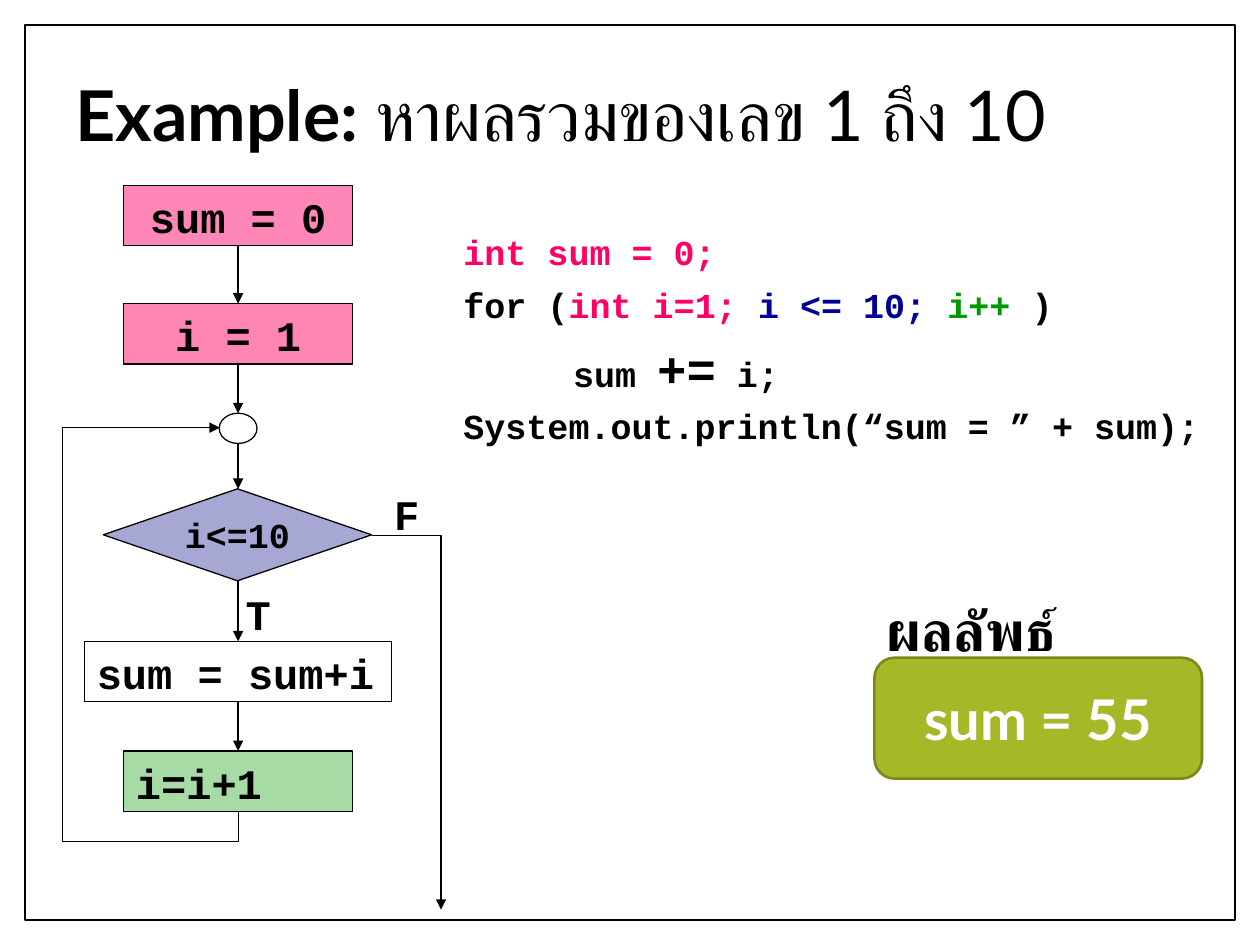
from pptx import Presentation
from pptx.dml.color import RGBColor
from pptx.enum.shapes import MSO_CONNECTOR as LINE, MSO_SHAPE as SHAPE
from pptx.enum.text import MSO_ANCHOR as ANCHOR, PP_ALIGN as ALIGN
from pptx.oxml.ns import qn
from pptx.util import Inches, Pt
from lxml.etree import SubElement

COLS, ROWS = 100, 75
CELL = Inches(10) // COLS
MID = 18.9
MONO, SANS = "Courier New", "Lato"
BLACK, WHITE, PINK, BLUE, GREEN = "000000", "FFFFFF", "FF0066", "000099", "009900"


def grid(*cells):
    """Turn grid cells into slide lengths."""
    return [round(cell * CELL) for cell in cells]


def color(code):
    """Make a colour from a hex string."""
    return RGBColor.from_string(code)


def style(run, size, font=MONO, code=BLACK, bold=True):
    """Set the look of one run."""
    run.font.size, run.font.name, run.font.bold = Pt(size), font, bold
    run.font.color.rgb = color(code)


def write(shape, parts, align=ALIGN.LEFT, anchor=ANCHOR.TOP, inset=None):
    """Put one line of (text, style) parts into a shape."""
    frame = shape.text_frame
    frame.word_wrap, frame.vertical_anchor = True, anchor
    if inset is not None:
        frame.margin_left = frame.margin_right = Inches(inset)
        frame.margin_top = frame.margin_bottom = Inches(inset)
    fill_line(frame.paragraphs[0], parts)
    frame.paragraphs[0].alignment = align


def fill_line(para, parts):
    """Add styled runs to a paragraph."""
    for text, look in parts:
        run = para.add_run()
        run.text = text
        style(run, **look)


def label(slide, place, parts, anchor=ANCHOR.TOP):
    """Add a text box."""
    box = slide.shapes.add_textbox(*grid(*place))
    write(box, parts, anchor=anchor)
    return box


def block(slide, kind, place, fill, alpha=100, edge=BLACK, width=0.75):
    """Add a filled preset shape."""
    shape = slide.shapes.add_shape(kind, *grid(*place))
    shape.shadow.inherit = False
    shape.fill.solid()
    shape.fill.fore_color.rgb = color(fill)
    if alpha < 100:
        tint = shape.fill._xPr.find(qn("a:solidFill"))[0]
        SubElement(tint, qn("a:alpha"), val=str(alpha * 1000))
    shape.line.color.rgb, shape.line.width = color(edge), Pt(width)
    return shape


def step(slide, top, width, text, fill, alpha=100, align=ALIGN.LEFT):
    """Add a process box on the flow axis."""
    place = (MID - width / 2, top, width, 4.8)
    box = block(slide, SHAPE.FLOWCHART_PROCESS, place, fill, alpha)
    write(box, [(text, dict(size=24))], align)


def arrow(slide, start, end, bend=None, turn=0, guides=()):
    """Add an arrow, straight or bent by a preset and its guides."""
    kind = LINE.ELBOW if bend else LINE.STRAIGHT
    link = slide.shapes.add_connector(kind, *grid(*start, *end))
    link.line.color.rgb, link.line.width = color(BLACK), Pt(0.75)
    props = link._element.spPr
    SubElement(props.find(qn("a:ln")), qn("a:tailEnd"), type="triangle")
    SubElement(props, qn("a:effectLst"))
    if bend:
        geom = props.find(qn("a:prstGeom"))
        geom.set("prst", bend)
        for num, share in enumerate(guides, 1):
            SubElement(geom.find(qn("a:avLst")), qn("a:gd"),
                       name=f"adj{num}", fmla=f"val {round(share * 100000)}")
        props.find(qn("a:xfrm")).set("rot", str(turn * 60000))


def code(slide):
    """Add the program listing."""
    def part(text, tone=BLACK, size=20):
        return text, dict(size=size, code=tone)

    lines = [
        ([part("int sum = 0;", PINK)], 1, False),
        ([part("for ("), part("int i=1; ", PINK), part("i <= 10; ", BLUE),
          part("i++", GREEN), part(" )")], 1.1, False),
        ([part("sum "), part("+=", size=28), part(" i;")], 1.1, True),
        ([part("System.out.println(“sum = ” + sum);")], 1, False),
    ]
    frame = slide.shapes.add_textbox(*grid(35.8, 17.8, 61.4, 21.5)).text_frame
    frame.word_wrap = True
    for num, (parts, space, deep) in enumerate(lines):
        para = frame.add_paragraph() if num else frame.paragraphs[0]
        para.space_before, para.line_spacing = Pt(4), space
        if deep:
            para._p.get_or_add_pPr().set("marL", str(Inches(0.87)))
        fill_line(para, parts)


def flow(slide):
    """Add the flowchart."""
    label(slide, (18.5, 46.2, 4.2, 5.2), [("T", dict(size=24))])
    label(slide, (30.3, 38.3, 4.4, 4.8), [("F", dict(size=24))])
    step(slide, 14.7, 18.2, "sum = 0", PINK, 47, ALIGN.CENTER)
    step(slide, 24.1, 18.2, "i = 1", PINK, 48, ALIGN.CENTER)
    step(slide, 50.9, 24.4, "sum = sum+i", WHITE)
    step(slide, 59.6, 18.2, "i=i+1", GREEN, 35)
    block(slide, SHAPE.FLOWCHART_CONNECTOR, (17.4, 32.8, 3, 2.4), WHITE)
    test = block(slide, SHAPE.FLOWCHART_DECISION, (8.2, 38.8, 21.3, 7.3),
                 "333399", 43)
    write(test, [("i<=10", dict(size=20))], ALIGN.CENTER, ANCHOR.MIDDLE, 0.02)
    for top, end in [(19.5, 24.1), (28.9, 32.8), (35.2, 38.8),
                     (46.1, 50.9), (55.7, 59.6)]:
        arrow(slide, (MID, top), (MID, end))
    arrow(slide, (29.5, 42.5), (35, 72.2), "bentConnector2")
    arrow(slide, (3, 49.9), (33.4, 48.4), "bentConnector4", 270,
          (-0.08, 9.34))


def main():
    """Build the slide."""
    deck = Presentation()
    deck.slide_width, deck.slide_height = grid(COLS, ROWS)
    slide = deck.slides.add_slide(deck.slide_layouts[6])
    block(slide, SHAPE.RECTANGLE, (2, 2, 96, 71), WHITE, width=1)
    label(slide, (5, 3.6, 90, 10.8), [
        ("Example: ", dict(size=40, font=SANS)),
        ("หาผลรวมของเลข 1 ถึง 10", dict(size=40, font=SANS, bold=False)),
    ], ANCHOR.MIDDLE)
    flow(slide)
    code(slide)
    total = block(slide, SHAPE.ROUNDED_RECTANGLE, (69.4, 52.2, 26, 9.6),
                  "A6B727", edge="7B871D", width=1.5)
    write(total, [("sum = 55", dict(size=32, font=SANS, code=WHITE))],
          ALIGN.CENTER, ANCHOR.MIDDLE)
    label(slide, (69.4, 46.8, 17.3, 6.4),
          [("ผลลัพธ์", dict(size=32, font=SANS))])
    deck.save("out.pptx")


main()
